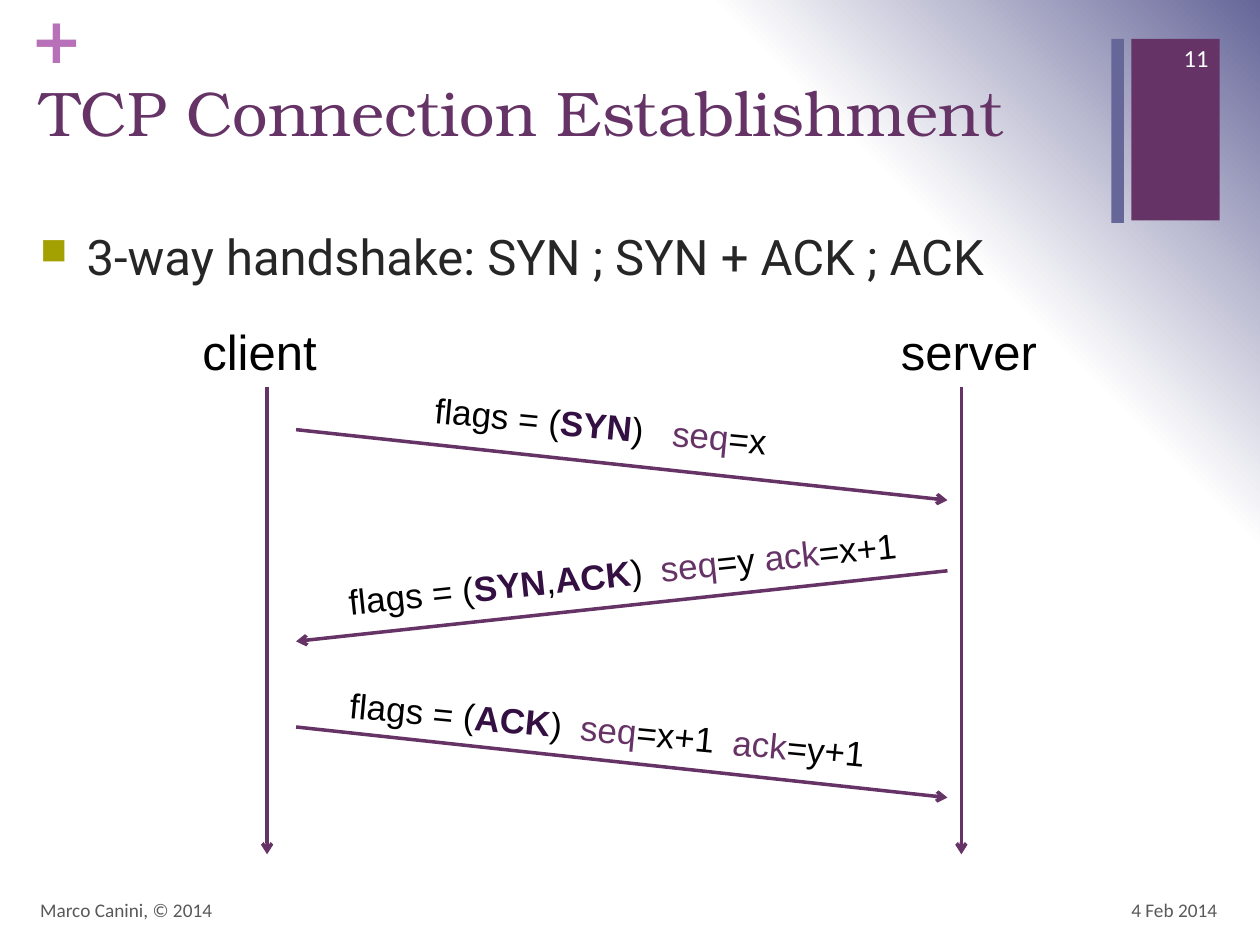
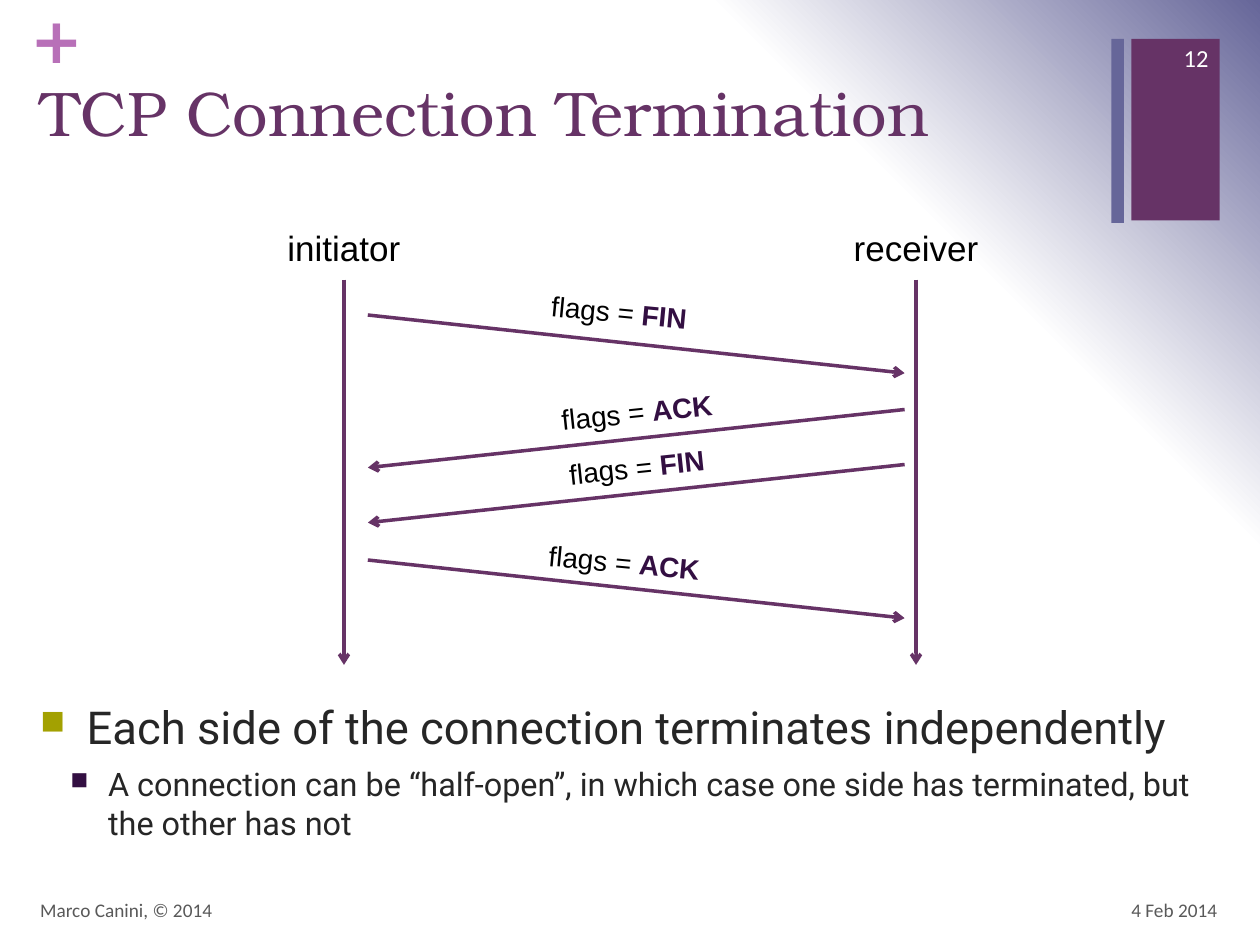
from dataclasses import dataclass
from typing import Optional

from lxml import etree
from pptx import Presentation
from pptx import util as u
from pptx.dml.color import RGBColor
from pptx.enum import shapes, text
from pptx.oxml import ns

# Grid: the slide is 10 columns by 7.5 rows of square cells
WIDTH, HEIGHT = u.Inches(10), u.Inches(7.5)
CELL = WIDTH / 10
MARGIN = 0.22
CONTENT_WIDTH = 9.54

# Colours and fonts
WHITE = RGBColor(0xFF, 0xFF, 0xFF)
BLACK = RGBColor(0x00, 0x00, 0x00)
PLUM = RGBColor(0x66, 0x33, 0x66)
DARK_PLUM = RGBColor(0x33, 0x0F, 0x42)
SLATE = RGBColor(0x66, 0x66, 0x99)
ORCHID = RGBColor(0xB8, 0x70, 0xB8)
OLIVE = RGBColor(0xA3, 0xA1, 0x01)
BODY_GREY = RGBColor(0x26, 0x26, 0x26)
FOOTER_GREY = RGBColor(0x59, 0x59, 0x59)
TITLE_FONT, BODY_FONT = "TeX Gyre Bonum", "Roboto"
DIAGRAM_FONT, FOOTER_FONT = "Arial", "Calibri"

LEFT, CENTER, RIGHT = text.PP_ALIGN.LEFT, text.PP_ALIGN.CENTER, text.PP_ALIGN.RIGHT
TOP, MIDDLE = text.MSO_ANCHOR.TOP, text.MSO_ANCHOR.MIDDLE


@dataclass(frozen=True)
class Box:
    left: float
    top: float
    width: float
    height: float

    def emu(self) -> list[int]:
        return [cells(n) for n in (self.left, self.top, self.width, self.height)]


@dataclass(frozen=True)
class Style:
    font: str
    size: float
    color: RGBColor
    align: text.PP_ALIGN = LEFT
    bold: bool = False


@dataclass(frozen=True)
class Span:
    words: str
    color: Optional[RGBColor] = None
    bold: bool = False
    spread: int = 0  # extra width after the character, in points


@dataclass(frozen=True)
class Message:
    """An arrow between lifelines, in diagram units below their top."""
    start: float
    to_right: bool
    label: list[Span]
    label_x: float
    label_drop: float = 0.02


@dataclass(frozen=True)
class Diagram:
    left: float
    top: float
    scale: float
    peers: tuple[str, str]
    peer_size: int
    label_size: int
    messages: list[Message]
    peer_shift: float = 0


@dataclass(frozen=True)
class Bullet:
    words: str
    size: float
    indent: float
    hanging: float
    color: RGBColor
    space_before: int = 0


@dataclass(frozen=True)
class Page:
    number: int
    title: str
    diagram: Diagram
    bullets: list[Bullet]
    bullets_box: Box


def cells(count: float) -> int:
    return round(count * CELL)


def add_xml(parent, tag: str, **attributes: str):
    return etree.SubElement(parent, ns.qn(tag), attributes)


def set_style(paragraph, style: Style) -> None:
    paragraph.alignment = style.align
    font = paragraph.font
    font.name, font.size, font.bold = style.font, u.Pt(style.size), style.bold
    font.color.rgb = style.color


def add_text(slide, box: Box, spans: list[Span], style: Style, anchor=TOP,
             rotation: float = 0, inset: Optional[int] = None) -> None:
    shape = slide.shapes.add_textbox(*box.emu())
    shape.rotation = rotation
    frame = shape.text_frame
    frame.word_wrap, frame.vertical_anchor = True, anchor
    if inset is not None:
        frame.margin_left = frame.margin_right = inset
        frame.margin_top = frame.margin_bottom = inset
    paragraph = frame.paragraphs[0]
    set_style(paragraph, style)
    for span in spans:
        run = paragraph.add_run()
        run.text = span.words
        if span.color is not None:
            run.font.color.rgb = span.color
        if span.bold:
            run.font.bold = True
        if span.spread:
            run.font.size = u.Pt(style.size)
            run.font._element.set("spc", str(span.spread * 100))


def add_bar(slide, box: Box, color: RGBColor) -> None:
    bar = slide.shapes.add_shape(shapes.MSO_SHAPE.RECTANGLE, *box.emu())
    bar.shadow.inherit = False
    bar.fill.solid()
    bar.fill.fore_color.rgb = color
    bar.line.fill.background()


def add_arrow(slide, x1: float, y1: float, x2: float, y2: float) -> None:
    arrow = slide.shapes.add_connector(
        shapes.MSO_CONNECTOR.STRAIGHT, *map(cells, (x1, y1, x2, y2)))
    arrow.line.color.rgb = PLUM
    arrow.line.width = u.Pt(2)
    properties = arrow.element.spPr
    add_xml(properties.find(ns.qn("a:ln")), "a:tailEnd", type="arrow")
    add_xml(properties, "a:effectLst")


def add_bullets(slide, box: Box, bullets: list[Bullet]) -> None:
    frame = slide.shapes.add_textbox(*box.emu()).text_frame
    frame.word_wrap = True
    for index, bullet in enumerate(bullets):
        paragraph = frame.add_paragraph() if index else frame.paragraphs[0]
        paragraph.text = bullet.words
        paragraph.space_before = u.Pt(bullet.space_before)
        properties = paragraph._p.get_or_add_pPr()
        properties.set("marL", str(cells(bullet.indent)))
        properties.set("indent", str(-cells(bullet.hanging)))
        add_xml(add_xml(properties, "a:buClr"), "a:srgbClr", val=str(bullet.color))
        add_xml(properties, "a:buSzPct", val="75000")
        add_xml(properties, "a:buChar", char="■")
        set_style(paragraph, Style(BODY_FONT, bullet.size, BODY_GREY))


# Sequence diagram, in units that each diagram scales
LIFELINE_GAP, LIFELINE_LENGTH = 5.51, 3.71
ARROW_START, ARROW_END, ARROW_DROP = 0.23, 5.4, 0.56
PEER_WIDTH, PEER_HEIGHT = 1.6, 0.57
LABEL_WIDTH, LABEL_HEIGHT = 5.6, 0.44
DOWNWARD, UPWARD = 5.5, 354


def add_diagram(slide, diagram: Diagram) -> None:
    def x(units: float) -> float:
        return diagram.left + units * diagram.scale

    def y(units: float) -> float:
        return diagram.top + units * diagram.scale

    def label_box(center: float, top: float, width: float, height: float) -> Box:
        return Box(x(center - width / 2), y(top),
                   width * diagram.scale, height * diagram.scale)

    # Peers and their lifelines
    peer_style = Style(DIAGRAM_FONT, diagram.peer_size, BLACK, CENTER)
    for name, line_x, side in zip(diagram.peers, (0, LIFELINE_GAP), (-1, 1)):
        add_arrow(slide, x(line_x), y(0), x(line_x), y(LIFELINE_LENGTH))
        center = line_x + side * diagram.peer_shift
        box = label_box(center, -PEER_HEIGHT, PEER_WIDTH, PEER_HEIGHT)
        add_text(slide, box, [Span(name)], peer_style)

    # Messages
    label_style = Style(DIAGRAM_FONT, diagram.label_size, BLACK, CENTER)
    for message in diagram.messages:
        ends = (ARROW_START, ARROW_END) if message.to_right else (ARROW_END, ARROW_START)
        add_arrow(slide, x(ends[0]), y(message.start),
                  x(ends[1]), y(message.start + ARROW_DROP))
        label_top = message.start + message.label_drop - LABEL_HEIGHT / 2
        box = label_box(message.label_x, label_top, LABEL_WIDTH, LABEL_HEIGHT)
        add_text(slide, box, message.label, label_style,
                 rotation=DOWNWARD if message.to_right else UPWARD)


def set_background(master) -> None:
    master.background.fill.gradient()
    gradient = master.element.find(".//" + ns.qn("a:gradFill"))
    for child in list(gradient):
        gradient.remove(child)
    stops = add_xml(gradient, "a:gsLst")
    for percent, color in ((0, WHITE), (75, WHITE), (100, SLATE)):
        stop = add_xml(stops, "a:gs", pos=str(percent * 1000))
        add_xml(stop, "a:srgbClr", val=str(color))
    circle = add_xml(gradient, "a:path", path="circle")
    add_xml(circle, "a:fillToRect", t="100000", r="100000")


def add_frame(slide, page: Page) -> None:
    # Corner bands and plus sign
    add_bar(slide, Box(8.98, 0.31, 0.7, 1.44), PLUM)
    add_bar(slide, Box(8.82, 0.31, 0.1, 1.46), SLATE)
    add_text(slide, Box(0.24, 0, 0.4, 0.61), [Span("+")],
             Style("DejaVu Sans", 36, ORCHID, bold=True), inset=0)
    # Title
    title = slide.shapes.title
    title.left, title.top, title.width, title.height = Box(MARGIN, 0.53, 8.59, 1.22).emu()
    title.text_frame.text = page.title
    title.text_frame.vertical_anchor = TOP
    title.text_frame.auto_size = text.MSO_AUTO_SIZE.NONE
    set_style(title.text_frame.paragraphs[0], Style(TITLE_FONT, 36, PLUM))
    # Footer and page number
    for box, words, size, color, align in (
            (Box(7.43, 7.02, 2.33, 0.4), "4 Feb 2014", 11, FOOTER_GREY, RIGHT),
            (Box(MARGIN, 7.02, 6.7, 0.4), "Marco Canini, © 2014", 11, FOOTER_GREY, LEFT),
            (Box(9.08, 0.26, 0.61, 0.4), str(page.number), 14, WHITE, RIGHT)):
        add_text(slide, box, [Span(words)], Style(FOOTER_FONT, size, color, align), MIDDLE)


def flag(name: str) -> Span:
    return Span(name, DARK_PLUM, True)


def field(name: str) -> Span:
    return Span(name, PLUM)


FLAGS, OPEN_FLAGS = Span("flags = "), Span("flags = (")
CLOSE, GAP, WIDE_GAP = Span(")"), Span(" ", spread=5), Span(" ", spread=11)
SEQ, ACK = field("seq"), field("ack")

HANDSHAKE = Diagram(2.12, 3.07, 1, ("client", "server"), 28, 20, [
    Message(0.34, True, [OPEN_FLAGS, flag("SYN"), CLOSE, WIDE_GAP, SEQ, Span("=x")],
            2.65, -0.03),
    Message(1.46, False, [OPEN_FLAGS, flag("SYN"), Span(","), flag("ACK"), CLOSE, GAP,
                          SEQ, Span("=y "), ACK, Span("=x+1")], 2.82),
    Message(2.7, True, [OPEN_FLAGS, flag("ACK"), CLOSE, GAP, SEQ, Span("=x+1"), GAP,
                        ACK, Span("=y+1")], 2.7),
], peer_shift=0.06)

TEARDOWN = Diagram(2.73, 2.22, 0.824, ("initiator", "receiver"), 20, 16, [
    Message(0.34, True, [FLAGS, flag("FIN")], 2.65, -0.03),
    Message(1.25, False, [FLAGS, flag("ACK")], 2.82),
    Message(1.78, False, [FLAGS, flag("FIN")], 2.82),
    Message(2.7, True, [FLAGS, flag("ACK")], 2.7),
])

PAGES = [
    Page(11, "TCP Connection Establishment", HANDSHAKE,
         [Bullet("3-way handshake: SYN ; SYN + ACK ; ACK", 28, 0.37, 0.37, OLIVE)],
         Box(MARGIN, 1.75, CONTENT_WIDTH, 0.7)),
    Page(12, "TCP Connection Termination", TEARDOWN,
         [Bullet("Each side of the connection terminates independently",
                 25.9, 0.37, 0.37, OLIVE),
          Bullet("A connection can be “half-open”, in which case one side has "
                 "terminated, but the other has not", 18.5, 0.54, 0.3, DARK_PLUM, 6)],
         Box(MARGIN, 5.5, CONTENT_WIDTH, 1.52)),
]


def main() -> None:
    deck = Presentation()
    deck.slide_width, deck.slide_height = WIDTH, HEIGHT
    set_background(deck.slide_master)
    title_only = deck.slide_layouts[5]
    for page in PAGES:
        slide = deck.slides.add_slide(title_only)
        add_frame(slide, page)
        add_bullets(slide, page.bullets_box, page.bullets)
        add_diagram(slide, page.diagram)
    deck.save("out.pptx")


if __name__ == "__main__":
    main()
